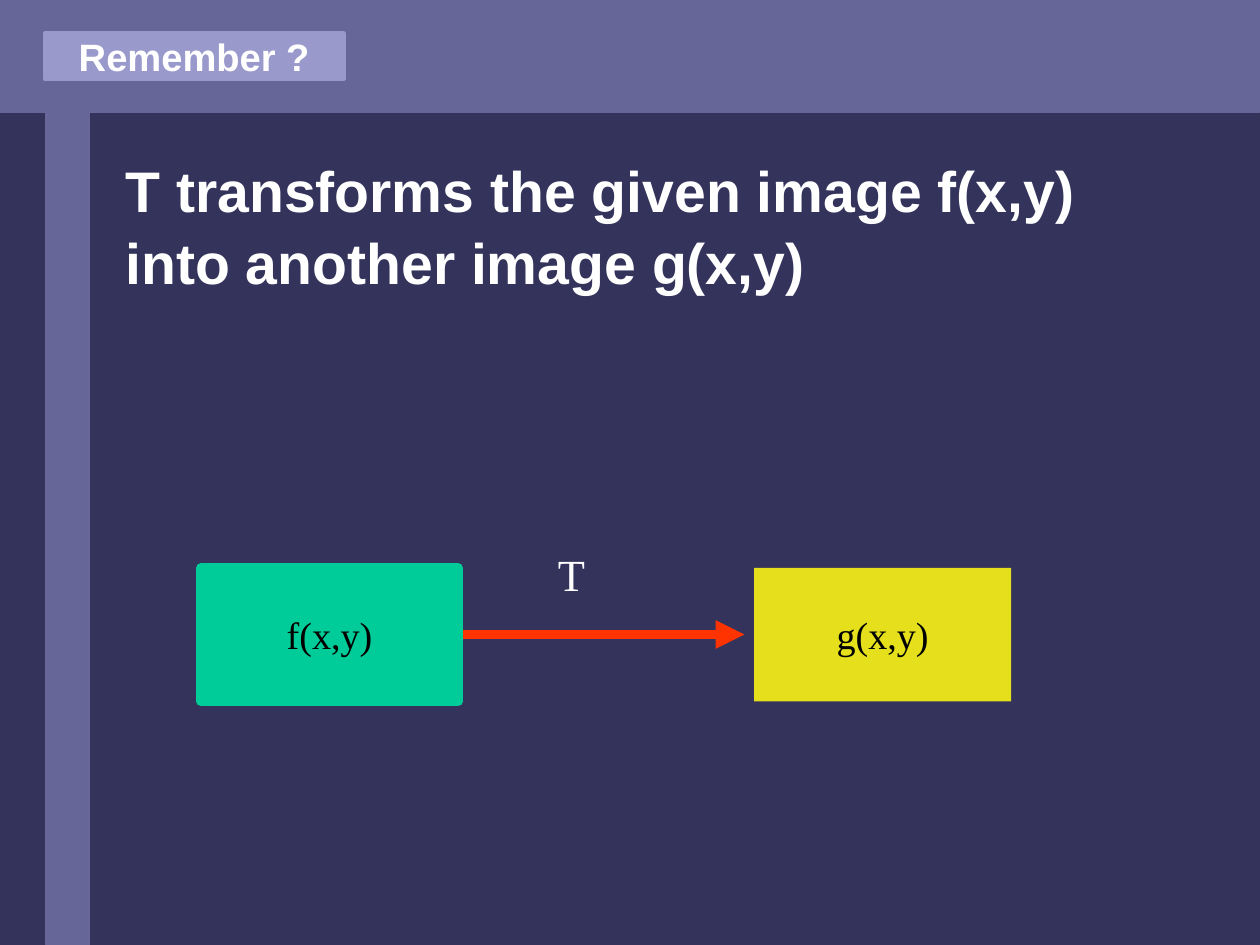
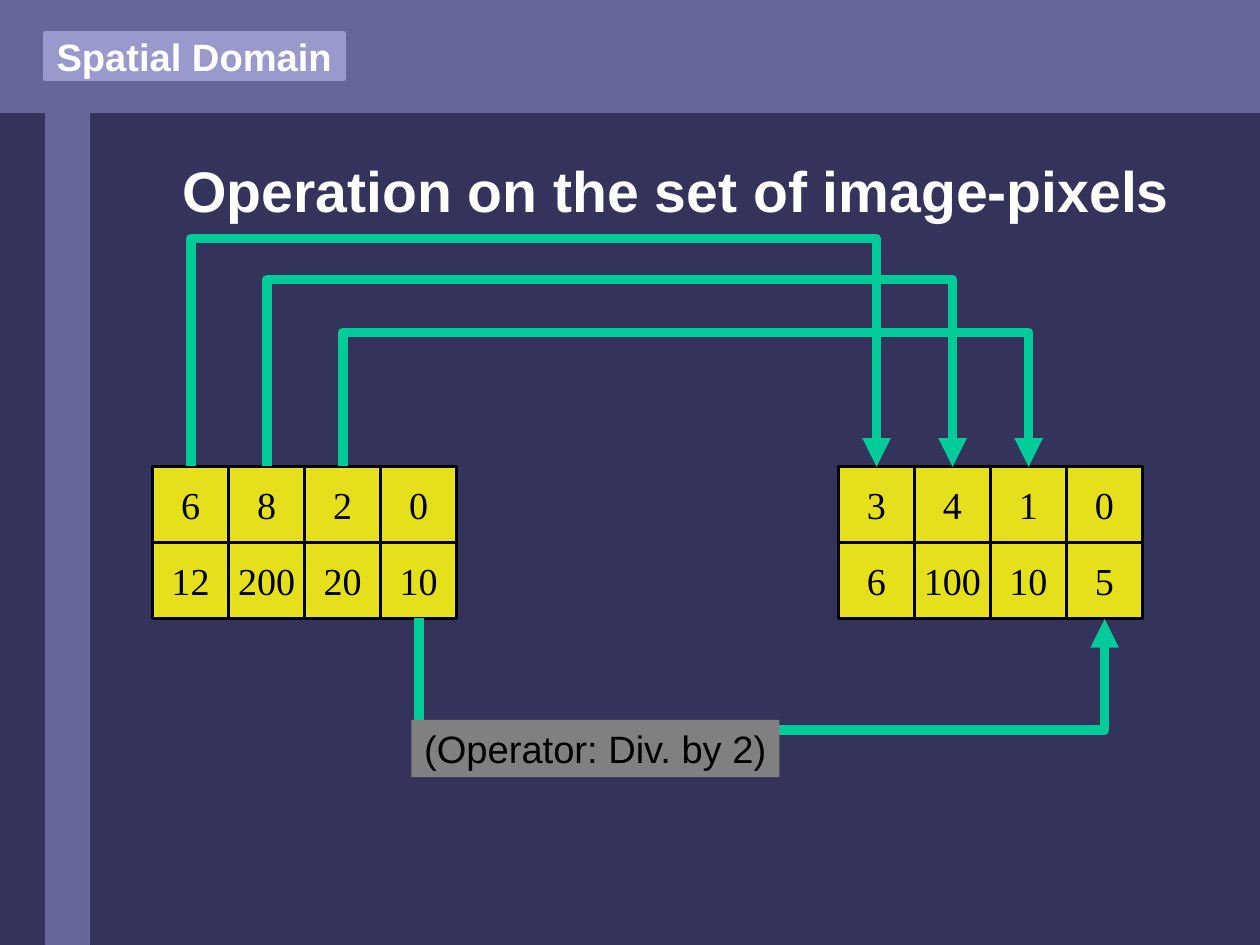
from pptx import Presentation
from pptx.dml.color import RGBColor
from pptx.enum.dml import MSO_FILL
from pptx.enum.shapes import MSO_CONNECTOR as CONNECTOR, MSO_SHAPE as SHAPE
from pptx.enum.text import MSO_ANCHOR as ANCHOR, MSO_AUTO_SIZE as AUTO_SIZE, PP_ALIGN as ALIGN
from pptx.oxml.ns import qn
from pptx.util import Cm, Pt
from lxml.etree import SubElement

COLOURS = {
    "background": "33335C", "band": "666699", "tag": "9999CC", "white": "FFFFFF",
    "black": "000000", "green": "00CC99", "yellow": "E5E01B", "red": "FF3300", "grey": "808080",
}
RGB = {name: RGBColor.from_string(code) for name, code in COLOURS.items()}

TAG = {"name": "Arial", "size": Pt(24), "bold": True}
HEADING = {"name": "Arial", "size": Pt(36), "bold": True}
VALUE = {"name": "Times New Roman", "size": Pt(24), "bold": False}
OPERATION = {"name": "Times New Roman", "size": Pt(28), "bold": False}
NOTE = {"name": "Arial", "size": Pt(24), "bold": False}


def paint(shape, fill, line=None, width=0.75):
    shape.fill.solid()
    shape.fill.fore_color.rgb = RGB[fill]
    if line:
        shape.line.color.rgb = RGB[line]
        shape.line.width = Pt(width)
    else:
        shape.line.fill.background()


def write(shape, lines, style, colour, align=ALIGN.CENTER, anchor=ANCHOR.MIDDLE, wrap=False):
    frame = shape.text_frame
    frame.text = "\n".join(lines)
    frame.auto_size = AUTO_SIZE.NONE
    frame.word_wrap = wrap
    frame.vertical_anchor = anchor
    for paragraph in frame.paragraphs:
        paragraph.alignment = align
        for attribute, value in style.items():
            setattr(paragraph.font, attribute, value)
        paragraph.font.color.rgb = RGB[colour]


deck = Presentation()
deck.slide_width, deck.slide_height = Cm(28), Cm(21)
layout = deck.slide_layouts[5]
background = deck.slide_master.background.fill
background.solid()
background.fore_color.rgb = RGB["background"]

# Tag and heading of each slide
slides = []
for tag_text, heading_lines, align in (
    ("Remember ?", ["T transforms the given image f(x,y)", "into another image g(x,y)"], ALIGN.LEFT),
    ("Spatial Domain", ["Operation on the set of image-pixels"], ALIGN.CENTER),
):
    slide = deck.slides.add_slide(layout)
    slides.append(slide)
    tag = slide.shapes.title
    tag.left, tag.top, tag.width, tag.height = Cm(1), Cm(0.74), Cm(6.63), Cm(1.02)
    paint(tag, "tag", "tag", 2.83)
    write(tag, [tag_text], TAG, "white")
    for side in ("left", "right", "top", "bottom"):
        setattr(tag.text_frame, f"margin_{side}", 0)

    heading = slide.shapes.add_textbox(Cm(2.54), Cm(3.25), Cm(24.97), Cm(1.78))
    write(heading, heading_lines, HEADING, "white", align, ANCHOR.TOP, wrap=True)
    for paragraph in heading.text_frame.paragraphs:
        paragraph.line_spacing = 1.05

transform, spatial = slides

# Bands, moved to the shared layout
for position, box in enumerate(((0, 0, 28, 2.49), (1.02, 1.96, 0.97, 19.04))):
    band = transform.shapes.add_shape(SHAPE.RECTANGLE, *map(Cm, box))
    band.shadow.inherit = False
    paint(band, "band", "band")
    layout.shapes._spTree.insert(2 + position, band._element)

# Transform: f becomes g
for text, left, fill, line in (("f(x,y)", 4.47, "green", "green"), ("g(x,y)", 16.76, "yellow", None)):
    function = transform.shapes.add_shape(SHAPE.RECTANGLE, Cm(left), Cm(12.62), Cm(5.71), Cm(2.97))
    function.shadow.inherit = False
    paint(function, fill, line, 6)
    write(function, [text], VALUE, "black")

transform_arrow = transform.shapes.add_connector(
    CONNECTOR.STRAIGHT, Cm(10.29), Cm(14.1), Cm(16.54), Cm(14.1))
operation = transform.shapes.add_textbox(Cm(12.14), Cm(12.04), Cm(1.12), Cm(1.45))
write(operation, ["T"], OPERATION, "white", anchor=ANCHOR.TOP)
arrows = [(transform_arrow, "red")]

# Pixel grids before and after the operation
CELL, GRID_TOP, BEFORE_LEFT, AFTER_LEFT = 1.69, 10.37, 3.39, 18.63
for grid_left, rows in (
    (BEFORE_LEFT, ((6, 8, 2, 0), (12, 200, 20, 10))),
    (AFTER_LEFT, ((3, 4, 1, 0), (6, 100, 10, 5))),
):
    for row, values in enumerate(rows):
        for column, value in enumerate(values):
            pixel = spatial.shapes.add_shape(
                SHAPE.RECTANGLE, Cm(grid_left + column * CELL), Cm(GRID_TOP + row * CELL),
                Cm(CELL), Cm(CELL))
            pixel.shadow.inherit = False
            paint(pixel, "yellow", "black", 2.25)
            write(pixel, [str(value)], VALUE, "black")

# Elbow arrows: a thin box turned by 270 degrees, bent far outside itself
SPAN, THIN = AFTER_LEFT - BEFORE_LEFT, 0.01
GRID_BOTTOM = GRID_TOP + 2 * CELL
for column, (end, turn) in enumerate(
    ((GRID_TOP, 5.31), (GRID_TOP, 6.22), (GRID_TOP, 7.39), (GRID_BOTTOM, 16.23))
):
    middle = BEFORE_LEFT + (column + 0.5) * CELL + SPAN / 2
    top = end - SPAN / 2
    mapping = spatial.shapes.add_connector(
        CONNECTOR.ELBOW, Cm(middle), Cm(top), Cm(middle + THIN), Cm(top + SPAN))
    frame = mapping._element.spPr.find(qn("a:xfrm"))
    frame.set("rot", str(270 * 60000))
    frame.set("flipH", "1")
    geometry = mapping._element.spPr.find(qn("a:prstGeom"))
    bend = round((turn - end) / THIN * 100000)
    SubElement(geometry.find(qn("a:avLst")), qn("a:gd"), name="adj1", fmla=f"val {bend}")
    arrows.append((mapping, "green"))

# Arrow format
for arrow, colour in arrows:
    arrow.line.color.rgb = RGB[colour]
    arrow.line.width = Pt(6)
    SubElement(arrow.line._get_or_add_ln(), qn("a:tailEnd"), type="triangle")
    SubElement(arrow._element.spPr, qn("a:effectLst"))

# Operator label
operator = spatial.shapes.add_shape(SHAPE.RECTANGLE, Cm(9.14), Cm(16), Cm(8.18), Cm(1.27))
operator.shadow.inherit = False
paint(operator, "grey")
write(operator, ["(Operator: Div. by 2)"], NOTE, "black")

deck.save("out.pptx")
